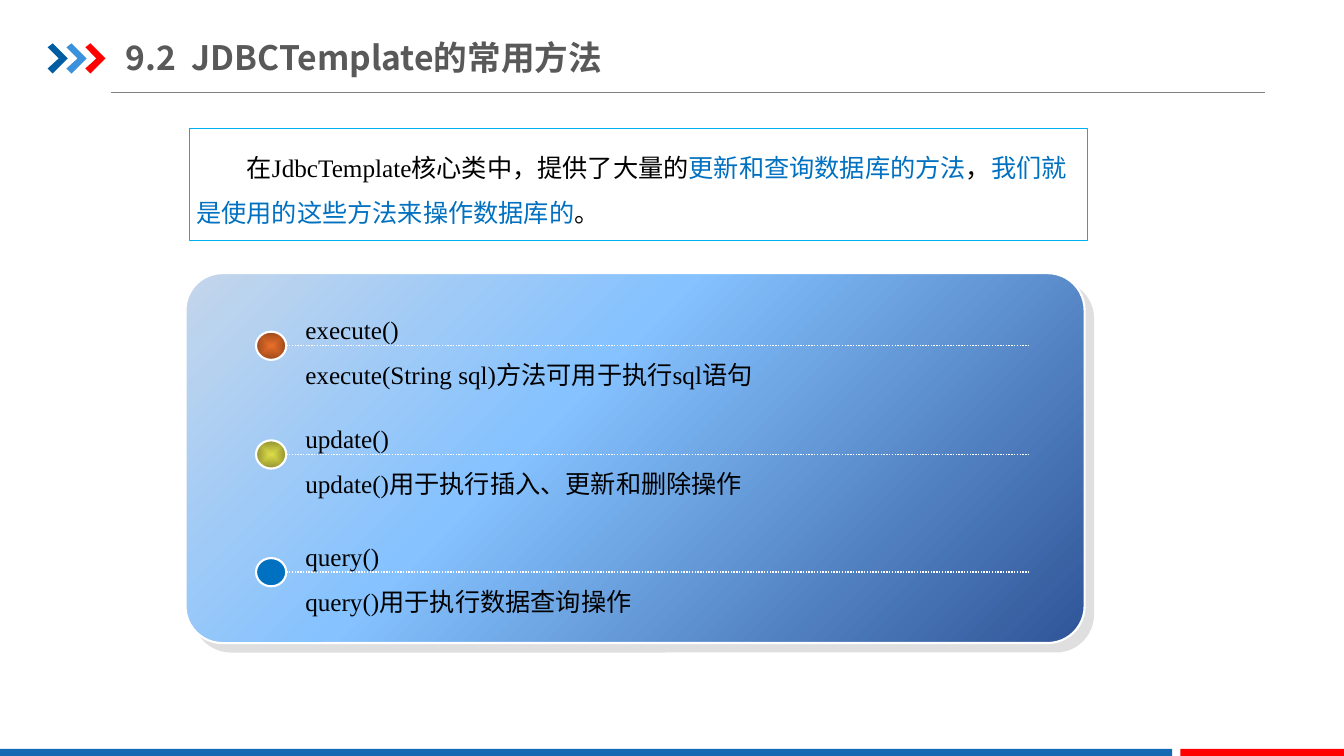
from dataclasses import dataclass

from lxml import etree
from pptx import Presentation
from pptx import util as u
from pptx.dml.color import RGBColor
from pptx.enum import dml, shapes, text
from pptx.oxml import ns

COLS, ROWS = 160, 90
CELL = u.Inches(7.5) / ROWS
SANS, SERIF = "Noto Sans CJK SC", "Times New Roman"
KIND = shapes.MSO_SHAPE
HUES = {
    "navy": "005DA2", "sky": "3992DB", "red": "FF0000", "bar": "1369B2",
    "gray": "808080", "slate": "595959", "black": "000000", "white": "FFFFFF",
    "cyan": "00B0F0", "blue": "0070C0", "shade": "C0C0C0",
    "mist": "C4D6EB", "light": "85C2FF", "deep": "2F5597",
    "orange": "E96E29", "rust": "9B491B", "lime": "DCDC48", "olive": "939330",
}


@dataclass
class Box:
    left: float
    top: float
    width: float
    height: float

    def place(self) -> list[int]:
        return [cell(v) for v in (self.left, self.top, self.width, self.height)]


@dataclass
class Method:
    row: float
    tints: list[str]
    name: str
    usage: str


METHODS = [
    Method(41.16, ["orange", "rust"], "execute()", "execute(String sql)方法可用于执行sql语句"),
    Method(54.1, ["lime", "olive"], "update()", "update()用于执行插入、更新和删除操作"),
    Method(68.12, ["blue"], "query()", "query()用于执行数据查询操作"),
]


def cell(count: float) -> int:
    return round(count * CELL)


def hue(name: str) -> RGBColor:
    return RGBColor.from_string(HUES[name])


def child(parent, tag: str, **attrs):
    return etree.SubElement(parent, ns.qn(tag), {k: str(v) for k, v in attrs.items()})


def blend(shape, stops: list[tuple[int, str]], angle: int | None = None) -> None:
    grad = etree.Element(ns.qn("a:gradFill"), rotWithShape="1")
    items = child(grad, "a:gsLst")
    for share, name in stops:
        child(child(items, "a:gs", pos=share * 1000), "a:srgbClr", val=HUES[name])
    if angle is None:
        center = child(grad, "a:path", path="shape")
        child(center, "a:fillToRect", l=50000, t=50000, r=50000, b=50000)
    else:
        child(grad, "a:lin", ang=angle * 60000, scaled=0)
    shape._element.spPr.find(ns.qn("a:prstGeom")).addnext(grad)


def paint(shape, fill: str | None = None, line: str | None = None, weight: float = 1.5):
    shape.shadow.inherit = False
    if fill:
        shape.fill.solid()
        shape.fill.fore_color.rgb = hue(fill)
    if line:
        shape.line.color.rgb = hue(line)
        shape.line.width = u.Pt(weight)
    else:
        shape.line.fill.background()
    return shape


def rule(slide, start: float, end: float, row: float, color: str, weight: float, dots: bool = False) -> None:
    line = slide.shapes.add_connector(
        shapes.MSO_CONNECTOR.STRAIGHT, cell(start), cell(row), cell(end), cell(row))
    line.line.color.rgb = hue(color)
    line.line.width = u.Pt(weight)
    if dots:
        line.line.dash_style = dml.MSO_LINE.ROUND_DOT
    child(line._element.spPr, "a:effectLst")


def write(slide, box: Box, paras: list[list[tuple[str, str]]], *, size: int = 18,
          font: str = SERIF, bold: bool = False, space: float = 1.5,
          indent: float = 0, inset: float = 1.2, middle: bool = False) -> None:
    frame = slide.shapes.add_textbox(*box.place()).text_frame
    frame.word_wrap = True
    frame.margin_left = frame.margin_right = cell(inset)
    if middle:
        frame.vertical_anchor = text.MSO_ANCHOR.MIDDLE
    for index, runs in enumerate(paras):
        para = frame.add_paragraph() if index else frame.paragraphs[0]
        para.line_spacing = space
        if indent:
            para._p.get_or_add_pPr().set("indent", str(cell(indent)))
        for words, color in runs:
            run = para.add_run()
            run.text = words
            run.font.size, run.font.name, run.font.bold = u.Pt(size), font, bold
            run.font.color.rgb = hue(color)
            child(run._r.get_or_add_rPr(), "a:ea", typeface=SANS)


def arrow(slide, left: float, top: float, color: str) -> None:
    points = [(0, 0.48), (0.6, 0), (2.4, 1.8), (0.6, 3.6), (0, 3), (1.32, 1.8)]
    spots = [(cell(left + x), cell(top + y)) for x, y in points]
    pen = slide.shapes.build_freeform(*spots[0])
    pen.add_line_segments(spots[1:])
    paint(pen.convert_to_shape(), color)


def frame(slide) -> None:
    rule(slide, 13.2, 150.6, 10.98, "gray", 0.5)
    for index, color in enumerate(["navy", "sky", "red"]):
        arrow(slide, 5.68 + index * 2.24, 5.16, color)
    for left, width, color in [(0, 139.56, "bar"), (140.52, 19.48, "red")]:
        bar = Box(left, 89.16, width, 0.84)
        paint(slide.shapes.add_shape(KIND.RECTANGLE, *bar.place()), color)
    write(slide, Box(15, 3.48, 95.4, 6.6), [[("9.2  JDBCTemplate的常用方法", "slate")]],
          size=24, font=SANS, bold=True, space=1, inset=0, middle=True)


def intro(slide) -> None:
    box = Box(22.56, 15.24, 106.92, 13.44)
    paint(slide.shapes.add_shape(KIND.RECTANGLE, *box.place()), "white", "cyan", 0.75)
    write(slide, Box(22.2, 15.72, 106.92, 12), [[
        ("在JdbcTemplate核心类中，提供了大量的", "black"),
        ("更新和查询数据库的方法", "blue"),
        ("，", "black"),
        ("我们就是使用的这些方法来操作数据库的", "blue"),
        ("。", "black"),
    ]], indent=6)


def panel(slide) -> None:
    box = Box(22.08, 32.52, 107.04, 44.04)
    card = paint(slide.shapes.add_shape(KIND.ROUNDED_RECTANGLE, *box.place()), line="white")
    card.adjustments[0] = 0.1
    blend(card, [(0, "mist"), (40, "light"), (100, "deep")], 45)
    glow = card._element.spPr.find(ns.qn("a:effectLst"))
    cast = child(glow, "a:outerShdw", dist=u.Pt(8.5), dir=45 * 60000, algn="ctr", rotWithShape=0)
    child(child(cast, "a:srgbClr", val=HUES["shade"]), "a:alpha", val=50000)


def entry(slide, item: Method) -> None:
    rule(slide, 34.08, 122.52, item.row, "white", 1, dots=True)
    box = Box(30.48, item.row - 1.68, 3.6, 3.36)
    dot = slide.shapes.add_shape(KIND.OVAL, *box.place())
    if len(item.tints) == 1:
        paint(dot, item.tints[0], "white")
    else:
        paint(dot, line="white")
        blend(dot, list(zip((0, 100), item.tints)))
    write(slide, Box(35.16, item.row - 6.12, 87.7, 12.12),
          [[(item.name, "black")], [(item.usage, "black")]])


def main() -> None:
    deck = Presentation()
    deck.slide_width, deck.slide_height = cell(COLS), cell(ROWS)
    slide = deck.slides.add_slide(deck.slide_layouts[6])
    frame(slide)
    intro(slide)
    panel(slide)
    for item in METHODS:
        entry(slide, item)
    deck.save("out.pptx")


if __name__ == "__main__":
    main()
